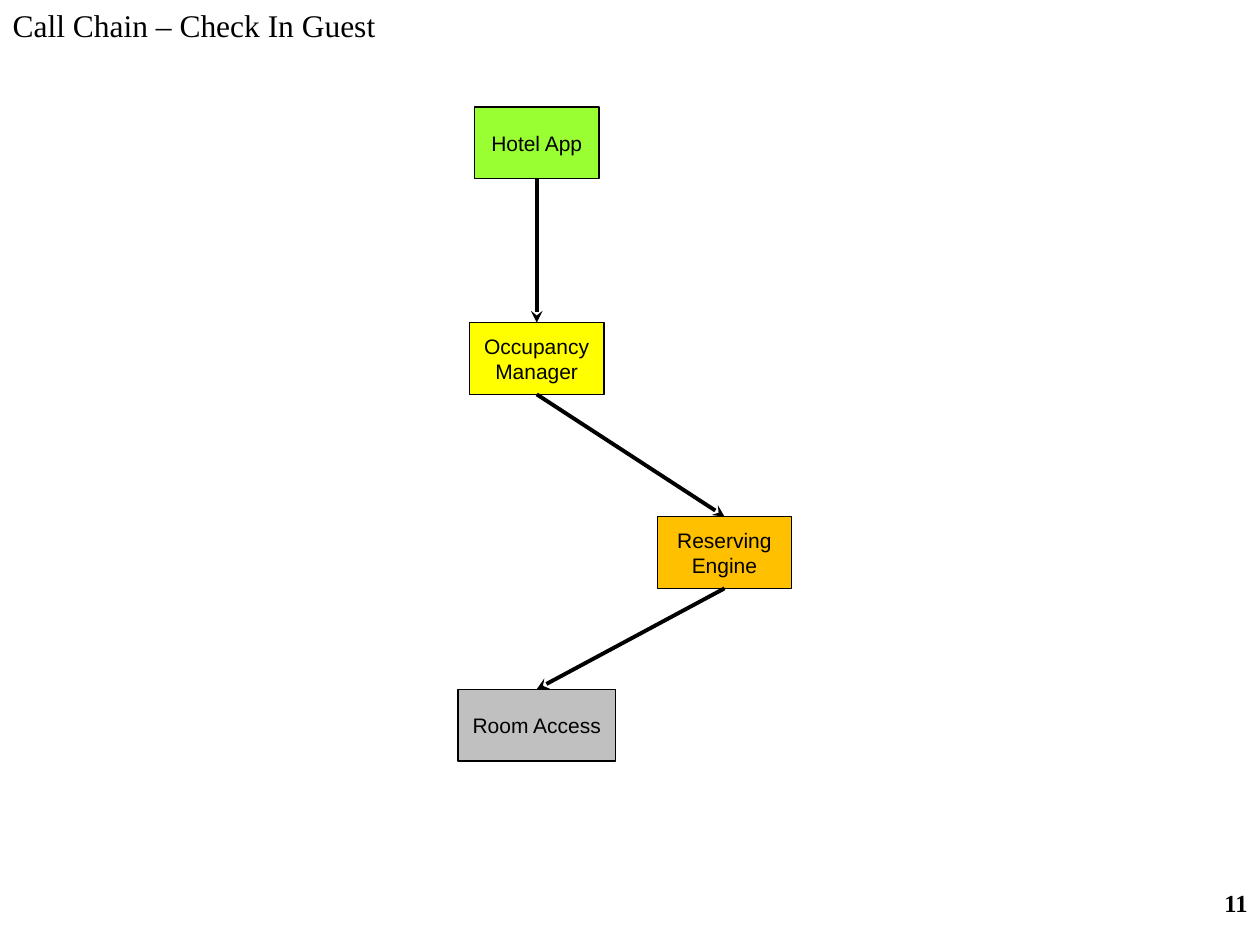
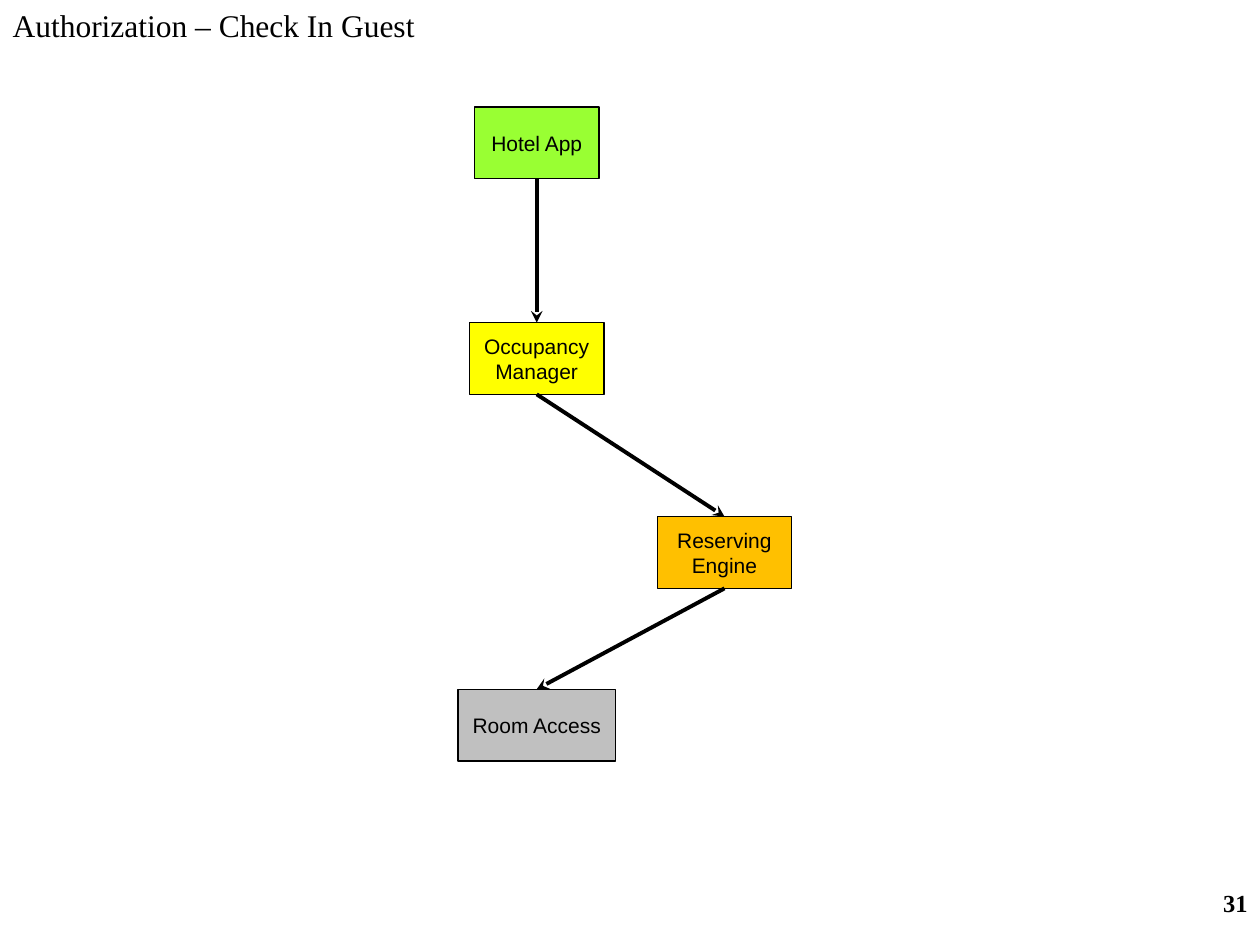
from dataclasses import dataclass

from lxml.etree import SubElement
from pptx import Presentation
from pptx.dml.color import RGBColor
from pptx.enum.shapes import MSO_CONNECTOR, MSO_SHAPE
from pptx.enum.text import MSO_ANCHOR, MSO_AUTO_SIZE, PP_ALIGN
from pptx.oxml.ns import qn
from pptx.util import Inches, Pt

# Content: slide title and page number
PAGES = [
    ("Call Chain – Check In Guest", "11"),
    ("Authorization – Check In Guest", "31"),
]

# Call chain, each component calling the next: label, fill, centre column, top, width
COMPONENTS = [
    ("Hotel App", "99FF33", "main", 0.85, 0.99),
    ("Occupancy\nManager", "FFFF00", "main", 2.56, 1.07),
    ("Reserving\nEngine", "FFC000", "side", 4.1, 1.06),
    ("Room Access", "C0C0C0", "main", 5.47, 1.25),
]


@dataclass(frozen=True)
class Theme:
    ink: str = "000000"
    serif: str = "Times New Roman"
    sans: str = "Arial"
    title_size: float = 18
    number_size: float = 14
    label_size: float = 12
    border: float = 0.75
    arrow: float = 2.25


THEME = Theme()

# Layout in inches
WIDTH, HEIGHT = 10, 7.5
COLUMN_CENTRES = {"main": 4.26, "side": 5.75}
COMPONENT_HEIGHT = 0.57
TITLE_WIDTH, TITLE_HEIGHT = 7.35, 0.4
NUMBER_WIDTH, NUMBER_HEIGHT = 2.08, 0.5
TOP_SITE, BOTTOM_SITE = 0, 2


def write(shape, text, font, size, align, anchor=MSO_ANCHOR.TOP, wrap=True, bold=False):
    frame = shape.text_frame
    frame.text = text
    frame.word_wrap = wrap
    frame.auto_size = MSO_AUTO_SIZE.NONE
    frame.vertical_anchor = anchor
    for para in frame.paragraphs:
        para.alignment = align
        for span in para.runs:
            span.font.name = font
            span.font.size = Pt(size)
            span.font.bold = bold
            span.font.color.rgb = RGBColor.from_string(THEME.ink)


def add_heading(page, title, number):
    heading = page.shapes.title
    heading.left, heading.top = 0, 0
    heading.width, heading.height = Inches(TITLE_WIDTH), Inches(TITLE_HEIGHT)
    write(heading, title, THEME.serif, THEME.title_size, PP_ALIGN.LEFT)

    number_box = page.shapes.add_textbox(
        Inches(WIDTH - NUMBER_WIDTH), Inches(HEIGHT - NUMBER_HEIGHT),
        Inches(NUMBER_WIDTH), Inches(NUMBER_HEIGHT))
    write(number_box, number, THEME.serif, THEME.number_size, PP_ALIGN.RIGHT, bold=True)


def add_component(page, label, fill, column, top, width):
    left = COLUMN_CENTRES[column] - width / 2
    box = page.shapes.add_shape(
        MSO_SHAPE.RECTANGLE, Inches(left), Inches(top),
        Inches(width), Inches(COMPONENT_HEIGHT))
    box.shadow.inherit = False
    box.fill.solid()
    box.fill.fore_color.rgb = RGBColor.from_string(fill)
    box.line.color.rgb = RGBColor.from_string(THEME.ink)
    box.line.width = Pt(THEME.border)
    write(box, label, THEME.sans, THEME.label_size, PP_ALIGN.CENTER,
          MSO_ANCHOR.MIDDLE, wrap=False)
    return box


def add_call(page, caller, callee):
    arrow = page.shapes.add_connector(MSO_CONNECTOR.STRAIGHT, 0, 0, 0, 0)
    arrow.begin_connect(caller, BOTTOM_SITE)
    arrow.end_connect(callee, TOP_SITE)
    arrow.line.color.rgb = RGBColor.from_string(THEME.ink)
    arrow.line.width = Pt(THEME.arrow)
    # Arrowhead at the callee, and no shadow
    SubElement(arrow.line._get_or_add_ln(), qn("a:tailEnd"), type="stealth")
    SubElement(arrow._element.spPr, qn("a:effectLst"))


def main():
    deck = Presentation()
    deck.slide_width, deck.slide_height = Inches(WIDTH), Inches(HEIGHT)
    title_only = deck.slide_layouts.get_by_name("Title Only")
    for title, number in PAGES:
        page = deck.slides.add_slide(title_only)
        add_heading(page, title, number)
        boxes = [add_component(page, *component) for component in COMPONENTS]
        for caller, callee in zip(boxes, boxes[1:]):
            add_call(page, caller, callee)
    deck.save("out.pptx")


if __name__ == "__main__":
    main()
